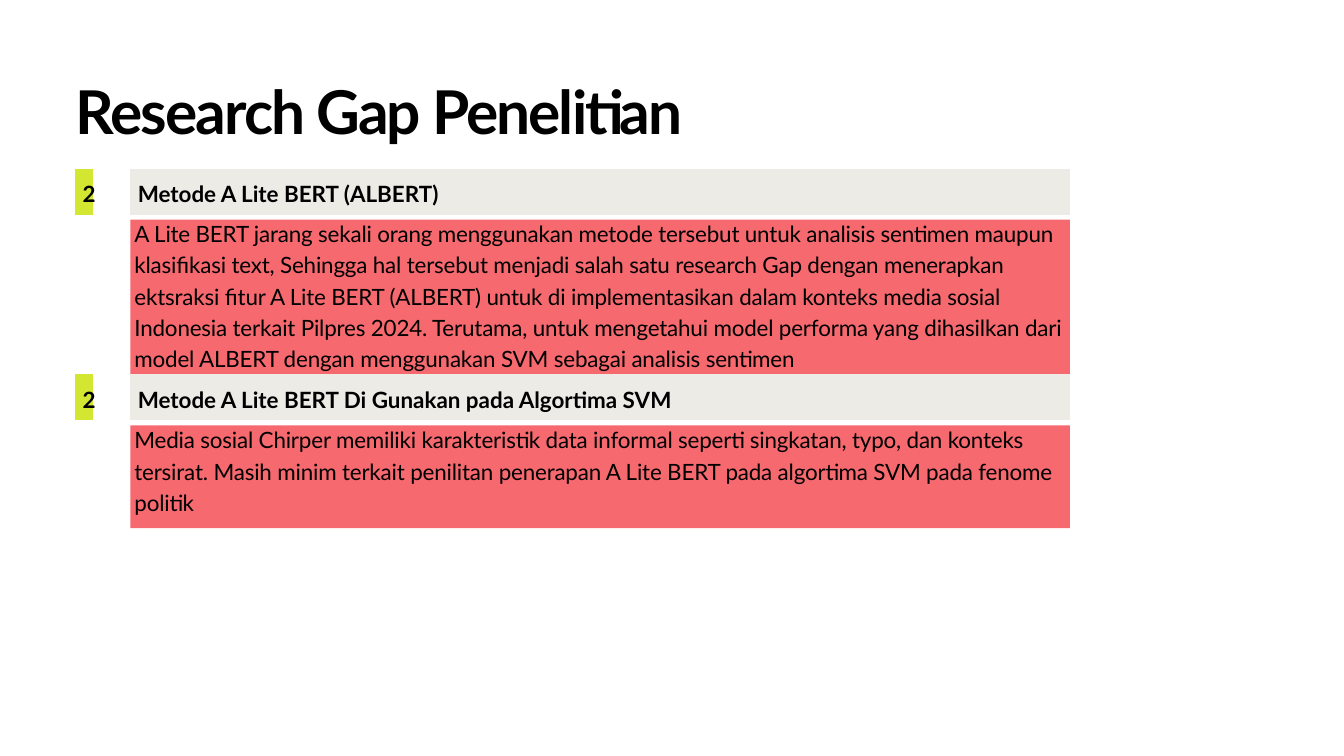
from dataclasses import dataclass

from lxml import etree
from pptx import Presentation
from pptx.dml.color import RGBColor
from pptx.enum.shapes import MSO_SHAPE
from pptx.enum.text import MSO_ANCHOR, PP_ALIGN
from pptx.oxml.ns import qn
from pptx.slide import Slide
from pptx.text.text import TextFrame
from pptx.util import Inches, Pt

RECTANGLE = MSO_SHAPE.RECTANGLE
TOP, MIDDLE = MSO_ANCHOR.TOP, MSO_ANCHOR.MIDDLE
LEFT, CENTER = PP_ALIGN.LEFT, PP_ALIGN.CENTER

SLIDE_WIDTH, SLIDE_HEIGHT = 20, 11.25
FONT = "Lato"
BLACK, LIME, SAND, CORAL = "000000", "D3E631", "EDEBE6", "F6696E"

# Column grid, in inches
NUMBER_LEFT, NUMBER_FRAME, NUMBER_COLUMN = 1.12, 0.81, 0.07
CONTENT_LEFT, CONTENT_WIDTH = 1.94, 13.98

# Row grid, in inches
FIRST_SECTION_TOP, SECTION_PITCH = 2.51, 3.06
HEADING_FRAME, HEADING_ROW = 0.76, 0.59
TEXT_RISE = 0.23
CELL_INSET, BODY_INSET = 0.11, 0.06


@dataclass(frozen=True)
class Section:
    number: str
    heading: str
    body: str
    body_height: float


SECTIONS = [
    Section(
        "2",
        "Metode A Lite BERT (ALBERT)",
        "A Lite BERT jarang sekali orang menggunakan metode tersebut untuk analisis "
        "sentimen maupun klasifikasi text, Sehingga hal tersebut menjadi salah satu "
        "research Gap dengan menerapkan ektsraksi fitur A Lite BERT (ALBERT) untuk di "
        "implementasikan dalam konteks media sosial Indonesia terkait Pilpres 2024. "
        "Terutama, untuk mengetahui model performa yang dihasilkan dari model ALBERT "
        "dengan menggunakan SVM sebagai analisis sentimen",
        2.44,
    ),
    Section(
        "2",
        "Metode A Lite BERT Di Gunakan pada Algortima SVM",
        "Media sosial Chirper memiliki karakteristik data informal seperti singkatan, "
        "typo, dan konteks tersirat. Masih minim terkait penilitan penerapan A Lite "
        "BERT pada algortima SVM pada fenome politik",
        1.53,
    ),
]


def color(hex_value: str) -> RGBColor:
    return RGBColor.from_string(hex_value)


def write_text(frame: TextFrame, text: str, *, size: float = 24, line: float = 33.6,
               bold: bool = False, align: PP_ALIGN = LEFT, anchor: MSO_ANCHOR = MIDDLE,
               inset: float = 0, spacing: float = 0) -> None:
    """Write one paragraph; size, line and letter spacing are in points."""
    frame.word_wrap = True
    frame.vertical_anchor = anchor
    frame.margin_left = frame.margin_right = Inches(inset)
    frame.margin_top = frame.margin_bottom = Inches(inset)
    paragraph = frame.paragraphs[0]
    paragraph.alignment = align
    paragraph.line_spacing = Pt(line)
    run = paragraph.add_run()
    run.text = text
    run.font.name = FONT
    run.font.size = Pt(size)
    run.font.bold = bold
    run.font.color.rgb = color(BLACK)
    if spacing:
        run.font._element.set("spc", str(round(spacing * 100)))


def add_cell_table(slide: Slide, text: str, left: float, top: float, width: float,
                   column: float, fill: str, align: PP_ALIGN = LEFT) -> None:
    """Add a borderless table of one cell."""
    shape = slide.shapes.add_table(1, 1, Inches(left), Inches(top),
                                   Inches(width), Inches(HEADING_FRAME))
    table = shape.table
    table.first_row = table.horz_banding = False
    table.columns[0].width = Inches(column)
    table.rows[0].height = Inches(HEADING_ROW)
    shape.width, shape.height = Inches(width), Inches(HEADING_FRAME)

    cell = table.cell(0, 0)
    write_text(cell.text_frame, text, bold=True, align=align)
    cell.vertical_anchor = MIDDLE
    cell.margin_left = cell.margin_right = Inches(CELL_INSET)
    cell.margin_top = cell.margin_bottom = Inches(CELL_INSET)
    properties = cell._tc.get_or_add_tcPr()
    for side in ("a:lnL", "a:lnR", "a:lnT", "a:lnB"):
        border = etree.SubElement(properties, qn(side), w="0")
        etree.SubElement(border, qn("a:noFill"))
    cell.fill.solid()
    cell.fill.fore_color.rgb = color(fill)


def add_body(slide: Slide, text: str, top: float, height: float) -> None:
    """Group a coloured panel with its text, whose box starts above the panel."""
    group = slide.shapes.add_group_shape()
    panel = group.shapes.add_shape(RECTANGLE, Inches(CONTENT_LEFT), Inches(top),
                                   Inches(CONTENT_WIDTH), Inches(height))
    panel.shadow.inherit = False
    panel.fill.solid()
    panel.fill.fore_color.rgb = color(CORAL)
    panel.line.fill.background()
    box = group.shapes.add_textbox(Inches(CONTENT_LEFT), Inches(top - TEXT_RISE),
                                   Inches(CONTENT_WIDTH), Inches(height + TEXT_RISE))
    write_text(box.text_frame, text, inset=BODY_INSET, spacing=-0.2)


def add_section(slide: Slide, section: Section, top: float) -> None:
    add_cell_table(slide, section.number, NUMBER_LEFT, top, NUMBER_FRAME,
                   NUMBER_COLUMN, LIME, CENTER)
    add_cell_table(slide, section.heading, CONTENT_LEFT, top, CONTENT_WIDTH,
                   CONTENT_WIDTH, SAND)
    add_body(slide, section.body, top + HEADING_FRAME, section.body_height)


def main() -> None:
    presentation = Presentation()
    presentation.slide_width = Inches(SLIDE_WIDTH)
    presentation.slide_height = Inches(SLIDE_HEIGHT)
    slide = presentation.slides.add_slide(presentation.slide_layouts[6])

    title = slide.shapes.add_textbox(Inches(NUMBER_LEFT), Inches(1.11),
                                     Inches(17.75), Inches(1.08))
    write_text(title.text_frame, "Research Gap Penelitian", size=64.7, line=77.6,
               bold=True, anchor=TOP, spacing=-2)
    for index, section in enumerate(SECTIONS):
        add_section(slide, section, FIRST_SECTION_TOP + index * SECTION_PITCH)

    presentation.save("out.pptx")


if __name__ == "__main__":
    main()
